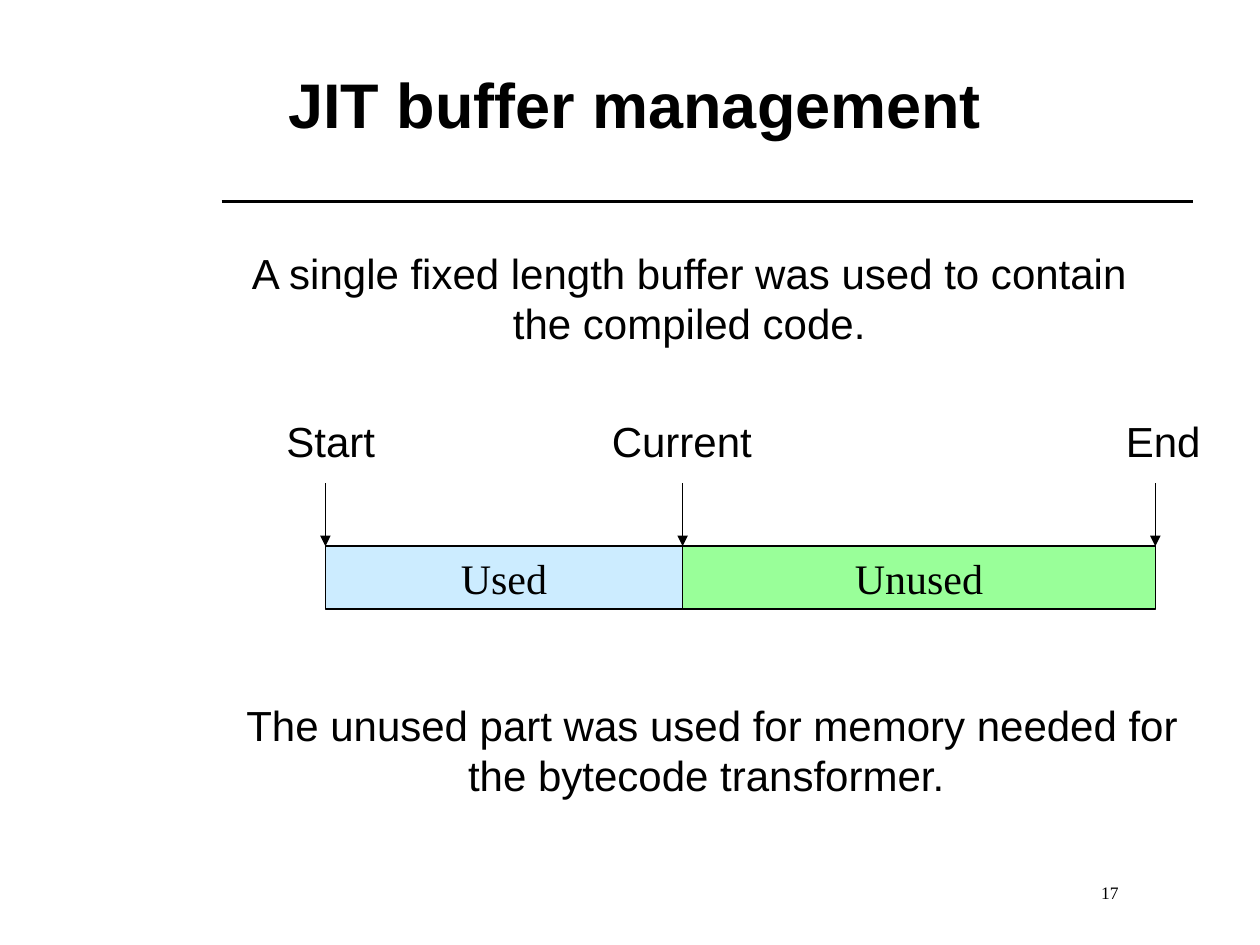
from lxml.etree import SubElement
from pptx import Presentation
from pptx.dml.color import RGBColor
from pptx.enum.shapes import MSO_CONNECTOR, MSO_SHAPE
from pptx.enum.text import MSO_ANCHOR as Anchor, PP_ALIGN as Align
from pptx.oxml.ns import qn
from pptx.util import Cm, Pt

BLACK = RGBColor(0x00, 0x00, 0x00)
WHITE = RGBColor(0xFF, 0xFF, 0xFF)
USED_BLUE = RGBColor(0xCC, 0xEC, 0xFF)
UNUSED_GREEN = RGBColor(0x99, 0xFF, 0x99)
SANS, SERIF = "Arial", "Times New Roman"


def write(shape, lines, size=24, font=SANS, bold=False, align=Align.CENTER,
          anchor=Anchor.TOP, spacing=1.0, wrap=False):
    frame = shape.text_frame
    frame.word_wrap = wrap
    frame.vertical_anchor = anchor
    frame.text = "\n".join(lines)
    for para in frame.paragraphs:
        para.alignment = align
        para.line_spacing = spacing
        para.font.size = Pt(size)
        para.font.name = font
        para.font.bold = bold
        para.font.color.rgb = BLACK


def add_text(page, box, lines, **style):
    left, top, width, height = (Cm(length) for length in box)
    write(page.shapes.add_textbox(left, top, width, height), lines, **style)


def add_line(page, start, end, weight, arrow=False):
    line = page.shapes.add_connector(
        MSO_CONNECTOR.STRAIGHT, *(Cm(length) for length in (*start, *end)))
    line.line.color.rgb = BLACK
    line.line.width = Pt(weight)
    properties = line._element.spPr
    if arrow:
        SubElement(properties.find(qn("a:ln")), qn("a:tailEnd"), type="triangle")
    SubElement(properties, qn("a:effectLst"))


def add_heading(page, box):
    """Title at the top of the box, with a rule along its foot."""
    left, top, width, height = box
    add_text(page, (left, top, 17.02, 2.97), ["JIT buffer management"],
             size=36, bold=True, anchor=Anchor.MIDDLE, spacing=0.8, wrap=True)
    rule_y = top + height
    add_line(page, (left + 0.18, rule_y), (left + width, rule_y), 2)


def add_segment(page, box, name, fill):
    segment = page.shapes.add_shape(
        MSO_SHAPE.RECTANGLE, *(Cm(length) for length in box))
    segment.shadow.inherit = False
    segment.fill.solid()
    segment.fill.fore_color.rgb = fill
    segment.line.color.rgb = BLACK
    segment.line.width = Pt(0.75)
    write(segment, [name], font=SERIF, anchor=Anchor.MIDDLE)


def add_buffer(page, box):
    """Bar split into used and unused parts, with labelled pointers above."""
    left, top, width, height = box
    bar_height = arrow_length = 1.27
    bar_top = top + height - bar_height
    current = left + 7.2
    end = left + width

    add_segment(page, (left, bar_top, current - left, bar_height), "Used", USED_BLUE)
    add_segment(page, (current, bar_top, end - current, bar_height),
                "Unused", UNUSED_GREEN)

    # pointer position, label, label offset from the pointer, label width
    pointers = [(left, "Start", -1.14, 2.5),
                (current, "Current", -1.78, 3.53),
                (end, "End", -0.94, 2.2)]
    for x, label, offset, label_width in pointers:
        add_text(page, (x + offset, top, label_width, 1.27), [label])
        add_line(page, (x, bar_top - arrow_length), (x, bar_top), 0.75, arrow=True)


def main():
    deck = Presentation()
    deck.slide_width, deck.slide_height = Cm(25.4), Cm(19.05)
    page = deck.slides.add_slide(deck.slide_layouts[6])
    page.background.fill.solid()
    page.background.fill.fore_color.rgb = WHITE

    add_heading(page, (4.29, 0.74, 19.76, 3.32))
    add_text(page, (4.8, 4.86, 18.19, 2.29),
             ["A single fixed length buffer was used to contain",
              "the compiled code."])
    add_buffer(page, (6.56, 8.25, 16.73, 4.03))
    add_text(page, (4.45, 13.97, 19.81, 2.29),
             ["The unused part was used for memory needed for "
              "the bytecode transformer. "], wrap=True)
    add_text(page, (21.95, 17.68, 1.98, 0.66), ["17"],
             size=10, font=SERIF, align=Align.LEFT, spacing=0.95, wrap=True)
    deck.save("out.pptx")


if __name__ == "__main__":
    main()
